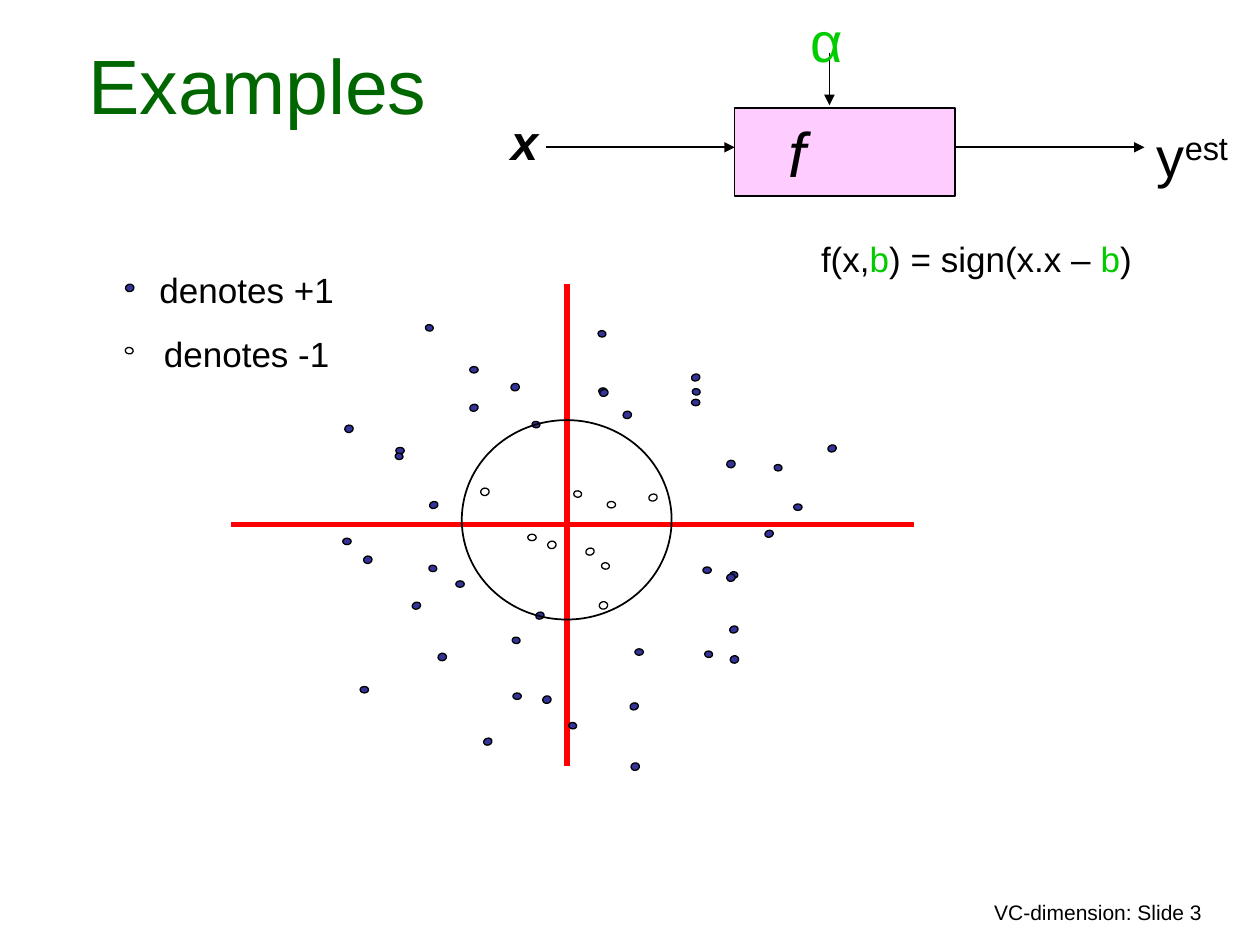
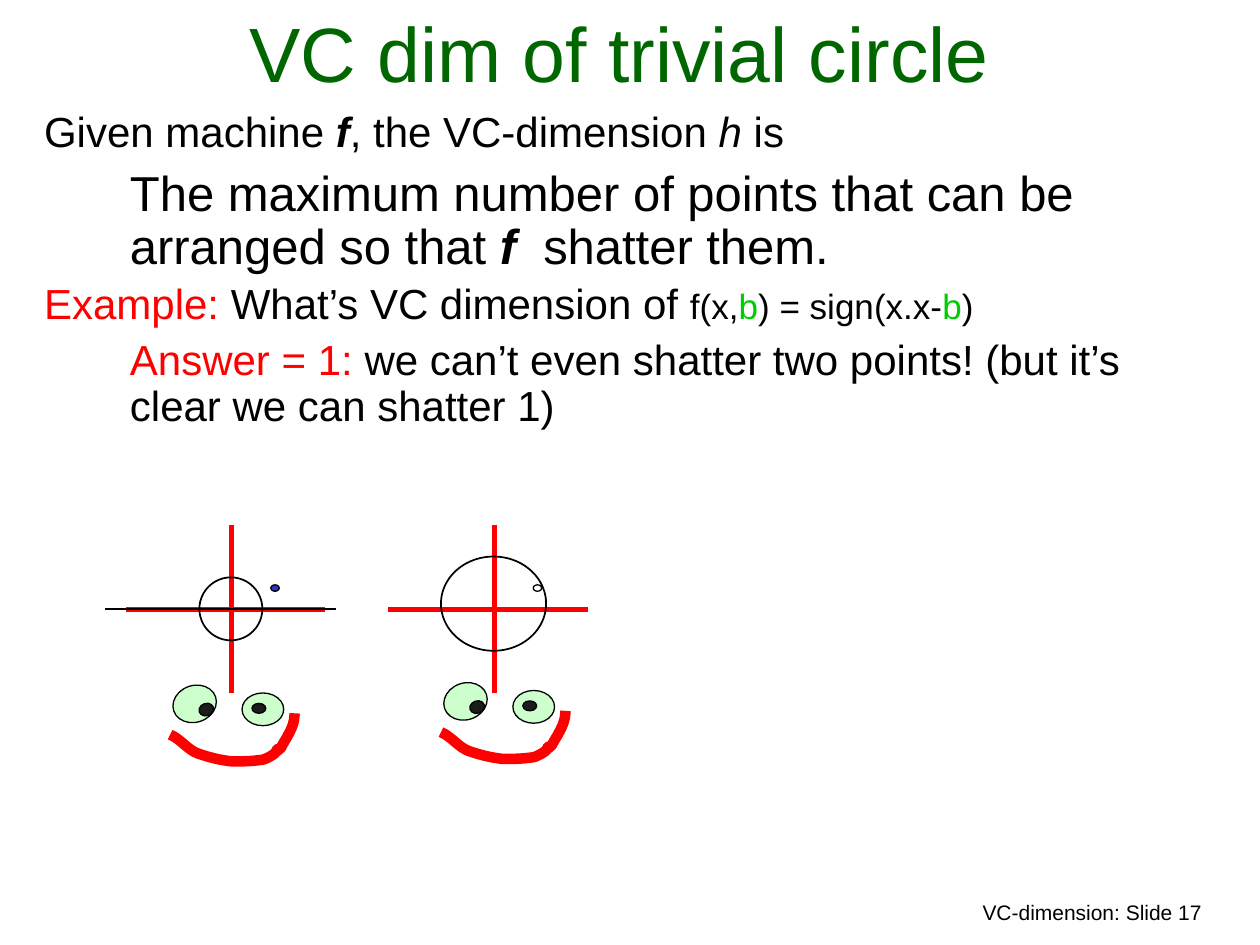
from lxml.etree import SubElement
from pptx import Presentation
from pptx.dml.color import RGBColor
from pptx.enum.shapes import MSO_CONNECTOR, MSO_SHAPE
from pptx.enum.text import MSO_ANCHOR, MSO_AUTO_SIZE, PP_ALIGN
from pptx.oxml.ns import qn
from pptx.util import Cm, Pt

FONT = "Arial"
BLACK, WHITE, RED = "000000", "FFFFFF", "FF0000"
TITLE_GREEN, PARAM_GREEN, EYE_GREEN = "006600", "00CC00", "CCFFCC"
NAVY, BLUE, PINK, PUPIL = "333399", "3333CC", "FFCCFF", "1C1C1C"
LEFT, CENTER, RIGHT = PP_ALIGN.LEFT, PP_ALIGN.CENTER, PP_ALIGN.RIGHT
TILT = 341.4
rgb = RGBColor.from_string


def add_line(s, x1, y1, x2, y2, color=RED, width=3, arrow=False):
    line = s.shapes.add_connector(MSO_CONNECTOR.STRAIGHT, Cm(x1), Cm(y1), Cm(x2), Cm(y2))
    line.line.color.rgb = rgb(color)
    line.line.width = Pt(width)
    if arrow:
        SubElement(line.line._get_or_add_ln(), qn("a:tailEnd"), type="triangle")
    SubElement(line._element.spPr, qn("a:effectLst"))


def add_oval(s, x, y, w, h, fill=None, rotation=0, width=0.75):
    sp = s.shapes.add_shape(MSO_SHAPE.OVAL, Cm(x), Cm(y), Cm(w), Cm(h))
    sp.shadow.inherit = False
    sp.rotation = rotation
    sp.line.color.rgb = rgb(BLACK)
    sp.line.width = Pt(width)
    if fill:
        sp.fill.solid()
        sp.fill.fore_color.rgb = rgb(fill)
    else:
        sp.fill.background()


prs = Presentation()
prs.slide_width, prs.slide_height = Cm(25.4), Cm(19.05)

# Slides and titles
slides = []
for title, x, y, w in [("Examples", 0.65, 0.84, 9.09),
                       ("VC dim of trivial circle", 0.64, 0.2, 23.7)]:
    s = prs.slides.add_slide(prs.slide_layouts[5])
    sp = s.shapes.title
    sp.left, sp.top, sp.width, sp.height = Cm(x), Cm(y), Cm(w), Cm(1.9)
    tf = sp.text_frame
    tf.text = title
    tf.auto_size = MSO_AUTO_SIZE.NONE
    tf.vertical_anchor = MSO_ANCHOR.BOTTOM
    p = tf.paragraphs[0]
    p.alignment = CENTER
    r = p.runs[0]
    r.font.name, r.font.size, r.font.color.rgb = FONT, Pt(44), rgb(TITLE_GREEN)
    slides.append(s)
examples, circle = slides

# Examples: machine arrows and axes
for ends in [(11, 2.97, 14.81, 2.97), (16.72, 1.06, 16.72, 2.12),
             (19.26, 2.97, 23.07, 2.97)]:
    add_line(examples, *ends, BLACK, 1, arrow=True)
add_line(examples, 11.43, 5.72, 11.43, 15.45)
add_line(examples, 4.66, 10.58, 18.42, 10.58)

# Examples: data points by tilt (width, height, positives, negatives),
# with the two legend markers last in their lists
points = {
    0: (0.17, 0.13,
        [(9.19, 11.71), (16, 10.16), (10.34, 13.97), (12.8, 13.08), (6.91, 10.85),
         (12.07, 7.82), (9.47, 7.39), (7.26, 13.84), (7.98, 9.02), (14.17, 11.43),
         (13.94, 8.05)],
        [(10.64, 10.77), (12.24, 10.11)]),
    TILT: (0.17, 0.14,
           [(10.8, 12.34), (16.69, 8.97), (12.7, 14.17), (14.71, 12.62), (8.31, 12.14),
            (12.09, 7.85), (9.47, 8.15), (9.75, 14.88), (8.66, 10.11), (15.42, 10.69),
            (13.94, 7.54)],
           [(11.81, 11.05), (13.08, 9.96)]),
    98.2: (0.13, 0.16,
           [(10.74, 8.48), (11.48, 14.55), (7.98, 9.12), (8.66, 11.38), (12.07, 6.65),
            (14.73, 11.51), (15.62, 9.35), (8.59, 6.53), (13.97, 7.82), (10.34, 12.83),
            (14.22, 13.11)],
           [(11.58, 9.88), (12.14, 11.33), (2.54, 6.99)]),
    79.6: (0.15, 0.17,
           [(12.73, 15.37), (7.34, 11.2), (8.84, 13.16), (10.31, 7.72), (14.66, 11.56),
            (14.66, 9.27), (6.96, 8.56), (12.57, 8.28), (10.95, 14.02), (14.73, 13.21),
            (2.54, 5.72)],
           [(9.7, 9.83), (11.05, 10.9), (12.09, 12.12)]),
}
for rotation, (w, h, positives, negatives) in points.items():
    for fill, spots in [(NAVY, positives), (WHITE, negatives)]:
        for x, y in spots:
            add_oval(examples, x, y, w, h, fill, rotation)
add_oval(examples, 9.31, 8.47, 4.23, 4.02, width=1)

# Circle: two plots, each with axes and one point
for x, left, right, dot_x, fill in [(9.97, 7.83, 11.85, 10.75, WHITE),
                                    (4.66, 2.54, 6.56, 5.46, BLUE)]:
    add_line(circle, x, 10.58, x, 13.97)
    add_line(circle, left, 12.28, right, 12.28)
    add_oval(circle, dot_x, 11.79, 0.17, 0.13, fill)
add_line(circle, 2.12, 12.28, 6.77, 12.28, BLACK, 1)
add_oval(circle, 4.02, 11.64, 1.27, 1.27, width=1)
add_oval(circle, 8.89, 11.22, 2.12, 1.9, width=1)

# Circle: smiling faces, the mouth sampled from Bezier segments
mouth_start = (0, 0.43)
mouth = [((0.2, 0.51), (0.36, 0.74), (0.56, 0.81)),
         ((0.79, 0.89), (0.99, 0.94), (1.24, 0.97)),
         ((1.45, 0.97), (1.63, 0.97), (1.83, 0.94)),
         ((1.93, 0.94), (2.11, 0.81), (2.11, 0.81)),
         ((2.26, 0.58), (2.03, 0.89), (2.24, 0.69)),
         ((2.26, 0.64), (2.31, 0.56), (2.34, 0.51)),
         ((2.44, 0.33), (2.51, 0.2), (2.51, 0))]
eyes = [(1.45, -0.41, 0.84, 0.66, EYE_GREEN, 0),
        (0.05, -0.56, 0.89, 0.74, EYE_GREEN, TILT),
        (1.65, -0.2, 0.28, 0.2, PUPIL, 0),
        (0.58, -0.2, 0.3, 0.25, PUPIL, TILT)]
for left, top in [(3.43, 14.38), (8.89, 14.33)]:
    outline = []
    start = mouth_start
    for a, b, end in mouth:
        for t in (n / 8 for n in range(1, 9)):
            x, y = ((1 - t) ** 3 * p0 + 3 * t * (1 - t) ** 2 * p1
                    + 3 * t ** 2 * (1 - t) * p2 + t ** 3 * p3
                    for p0, p1, p2, p3 in zip(start, a, b, end))
            outline.append((Cm(left + x), Cm(top + y)))
        start = end
    builder = circle.shapes.build_freeform(Cm(left + mouth_start[0]), Cm(top + mouth_start[1]))
    builder.add_line_segments(outline, close=False)
    sp = builder.convert_to_shape()
    sp.shadow.inherit = False
    sp.fill.background()
    sp.line.color.rgb = rgb(RED)
    sp.line.width = Pt(6)
    for x, y, w, h, fill, rotation in eyes:
        add_oval(circle, left + x, top + y, w, h, fill, rotation)

# Function box
box = examples.shapes.add_shape(MSO_SHAPE.RECTANGLE, Cm(14.81), Cm(2.18), Cm(4.45), Cm(1.78))
box.shadow.inherit = False
box.fill.solid()
box.fill.fore_color.rgb = rgb(PINK)
box.line.color.rgb = rgb(BLACK)
box.line.width = Pt(1)
box.text_frame.margin_left = Cm(1.08)

# Texts: slide, box, alignment, paragraphs of (size, space before, margin, indent, runs);
# a run is text, colour, style (b, i, or ^ for superscript) and perhaps its own size
body = [
    (24, 6, 0.97, -0.97, [("Given machine ", BLACK, ""), ("f", BLACK, "bi"),
                          (", the VC-dimension ", BLACK, ""), ("h", BLACK, "i"),
                          (" is", BLACK, "")]),
    (28, 7, 1.73, 0, [("The maximum number of points that can be arranged so that ", BLACK, ""),
                      ("f", BLACK, "bi"), ("  shatter them.", BLACK, "")]),
    (24, 5, 0.97, -0.97, [("Example: ", RED, ""), ("What’s VC dimension of ", BLACK, ""),
                          ("f(x,", BLACK, "", 20), ("b", PARAM_GREEN, "", 20),
                          (") = sign(x.x-", BLACK, "", 20), ("b", PARAM_GREEN, "", 20),
                          (")", BLACK, "", 20)]),
    (24, 6, 1.73, 0, [("Answer = 1: ", RED, ""),
                      ("we can’t even shatter two points! (but it’s clear we can shatter 1)",
                       BLACK, "")]),
]
formula = [("f(x,", BLACK, ""), ("b", PARAM_GREEN, ""), (") = sign(x.x – ", BLACK, ""),
           ("b", PARAM_GREEN, ""), (")", BLACK, "")]
legend = [(20, 12.5, 0, 0, [(f"denotes {label}", BLACK, "")]) for label in ("+1", "-1")]
texts = [
    (examples, None, LEFT, [(36, 12.5, 0, 0, [("f", BLACK, "i")])]),
    (examples, (9.73, 2.12, 1.69, 1.45), CENTER, [(28, 17.5, 0, 0, [("x", BLACK, "bi")])]),
    (examples, (16.09, 0, 1.06, 1.63), CENTER, [(32, 20, 0, 0, [("α", PARAM_GREEN, "")])]),
    (examples, (23.07, 2.33, 2.33, 1.63), LEFT,
     [(32, 8, 0, 0, [("y", BLACK, ""), ("est", BLACK, "^")])]),
    (examples, (15.24, 4.66, 8.89, 1.11), CENTER, [(20, 12.5, 0, 0, formula)]),
    (examples, (2.33, 5.29, 5.29, 2.4), CENTER, legend),
    (circle, (0.64, 2.12, 23.81, 7.62), LEFT, body),
]
for s, number in [(examples, 3), (circle, 17)]:
    footer = [(f"VC-dimension: Slide {number}", BLACK, "")]
    texts.append((s, (14.53, 18, 9.95, 0.77), RIGHT, [(12, 7.5, 0, 0, footer)]))

for s, place, align, paragraphs in texts:
    sp = s.shapes.add_textbox(*map(Cm, place)) if place else box
    tf = sp.text_frame
    tf.word_wrap = True
    for i, (size, before, margin, indent, runs) in enumerate(paragraphs):
        p = tf.add_paragraph() if i else tf.paragraphs[0]
        p.alignment = align
        p.space_before = Pt(before)
        if margin:
            p.line_spacing = 0.9
            pPr = p._p.get_or_add_pPr()
            pPr.set("marL", str(Cm(margin)))
            pPr.set("indent", str(Cm(indent)))
        for text, color, style, *own_size in runs:
            r = p.add_run()
            r.text = text
            r.font.name = FONT
            r.font.size = Pt(own_size[0] if own_size else size)
            r.font.color.rgb = rgb(color)
            r.font.bold = "b" in style
            r.font.italic = "i" in style
            if "^" in style:
                r.font._element.set("baseline", "30000")

prs.save("out.pptx")
